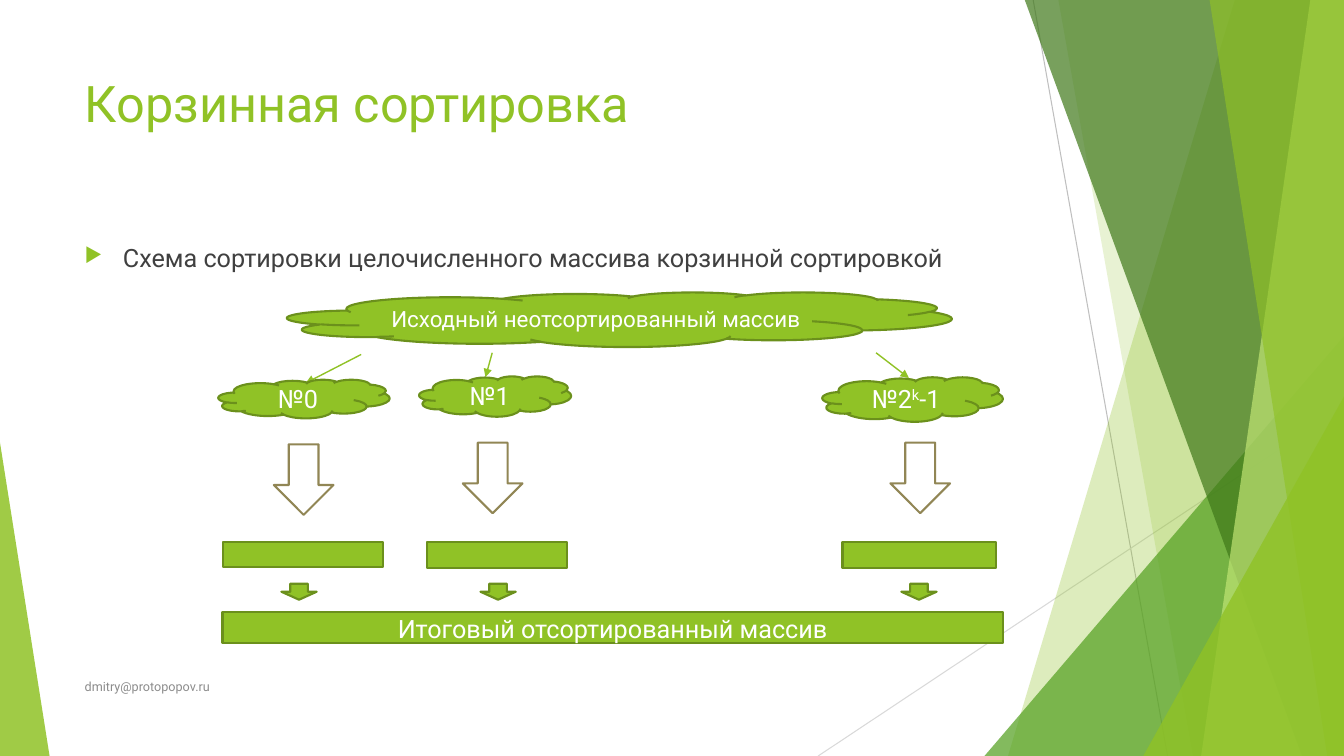
"""Build the bucket sort slide on a grid of 160 columns by 90 rows."""
from dataclasses import dataclass

from lxml import etree
from pptx import Presentation
from pptx.dml.color import RGBColor
from pptx.enum.shapes import MSO_CONNECTOR, MSO_SHAPE
from pptx.enum.text import MSO_ANCHOR, MSO_AUTO_SIZE, PP_ALIGN
from pptx.oxml.ns import qn
from pptx.util import Inches, Pt

STRAIGHT = MSO_CONNECTOR.STRAIGHT
CLOUD, ARROW = MSO_SHAPE.CLOUD, MSO_SHAPE.DOWN_ARROW
BAR, WEDGE = MSO_SHAPE.RECTANGLE, MSO_SHAPE.RIGHT_TRIANGLE
TRIANGLE = MSO_SHAPE.ISOSCELES_TRIANGLE
TOP, MIDDLE = MSO_ANCHOR.TOP, MSO_ANCHOR.MIDDLE
LEFT, CENTER = PP_ALIGN.LEFT, PP_ALIGN.CENTER
COLUMNS, ROWS = 160, 90


@dataclass(frozen=True)
class Theme:
    font: str = "Roboto"
    green: str = "90C226"
    outline: str = "6B901C"
    leaf: str = "54A021"
    forest: str = "3F7819"
    lime: str = "C0E474"
    white: str = "FFFFFF"
    olive: str = "918655"
    ink: str = "404040"
    muted: str = "8C8C8C"
    ray: str = "BFBFBF"
    pale_ray: str = "D9D9D9"
    title: int = 36
    text: int = 18
    source: int = 16
    footer: int = 9


theme = Theme()
deck = Presentation()
deck.slide_width, deck.slide_height = Inches(40 / 3), Inches(7.5)
cell = deck.slide_width / COLUMNS
page = deck.slides.add_slide(deck.slide_layouts[5])


def paint(shape, fill, line=None, opacity=100):
    """Give a shape a flat fill, an optional outline and no shadow."""
    shape.shadow.inherit = False
    shape.fill.solid()
    shape.fill.fore_color.rgb = RGBColor.from_string(fill)
    if opacity < 100:
        color = shape.fill._xPr.find(".//" + qn("a:srgbClr"))
        etree.SubElement(color, qn("a:alpha"), val=str(opacity * 1000))
    if line:
        shape.line.color.rgb = RGBColor.from_string(line)
        shape.line.width = Pt(1.5)
    else:
        shape.line.fill.background()


def write(box, words, size, color, align=LEFT, anchor=TOP):
    """Write one paragraph; words pairs each run with its superscript flag."""
    frame = box.text_frame
    frame.word_wrap = True
    frame.auto_size = MSO_AUTO_SIZE.NONE
    frame.vertical_anchor = anchor
    para = frame.paragraphs[0]
    para.alignment = align
    for text, raised in words:
        span = para.add_run()
        span.text = text
        span.font.name = theme.font
        span.font.size = Pt(size)
        span.font.color.rgb = RGBColor.from_string(color)
        if raised:
            span.font._element.set("baseline", "30000")
    return para


rays = [
    ((123, 0, 139, 90), theme.ray, 0.75, False),
    ((160, 48.4, 97.4, 90), theme.pale_ray, 0.75, False),
]
feeds = [
    ((43, 42.2, 36.4, 45.6), theme.green, 1, True),
    ((58.6, 42, 57.8, 44.9), theme.green, 1, True),
    ((104.3, 42, 108.2, 45), theme.green, 1, True),
]
facets = [
    ("band", 147.4, 120.5, theme.green, 30),
    ("band", 126, 142, theme.green, 20),
    ("corner", 117.2, 40, theme.leaf, 72),
    ("band", 122.5, 154.9, theme.forest, 70),
    ("band", 156.4, 143, theme.lime, 70),
    ("band", 143.5, 158.2, theme.green, 65),
    ("corner", 136.1, 47.2, theme.green, 80),
]
lanes = [
    ([("№0", False)], (26, 45.2, 20.4, 4.6), (32.6, 52.9), (26.5, 19.1, 3), 33.5),
    ([("№1", False)], (49.9, 44.8, 18.1, 4.8), (55.1, 52.7), (50.8, 16.7, 3.1), 57.2),
    ([("№2", False), ("k", True), ("-1", False)],
     (97.9, 44.9, 21.5, 5.3), (106, 52.7), (100.3, 18.3, 3.1), 107.3),
]

links = []
for ends, color, weight, pointed in rays + feeds:
    link = page.shapes.add_connector(STRAIGHT, *[round(end * cell) for end in ends])
    link.line.color.rgb = RGBColor.from_string(color)
    link.line.width = Pt(weight)
    if pointed:
        etree.SubElement(link.line._get_or_add_ln(), qn("a:tailEnd"), type="triangle")
    etree.SubElement(link._element.spPr, qn("a:effectLst"))

for kind, first, second, color, opacity in facets:
    if kind == "band":
        builder = page.shapes.build_freeform(first, 0, scale=cell)
        builder.add_line_segments([(COLUMNS, 0), (COLUMNS, ROWS), (second, ROWS)])
        facet = builder.convert_to_shape()
    else:
        area = (first, second, COLUMNS - first, ROWS - second)
        facet = page.shapes.add_shape(TRIANGLE, *[round(side * cell) for side in area])
        facet.adjustments[0] = 1
    paint(facet, color, opacity=opacity)

wedge = page.shapes.add_shape(WEDGE, *[round(side * cell) for side in (0, 52.7, 5.9, 37.3)])
paint(wedge, theme.green, opacity=85)

title = page.shapes.title
title.left, title.top, title.width, title.height = [
    round(side * cell) for side in (8.9, 8, 112.8, 17.3)]
write(title, [("Корзинная сортировка", False)], theme.title, theme.green)

body = page.shapes.add_textbox(*[round(side * cell) for side in (8.9, 28.3, 112.8, 50.9)])
caption = write(body, [("Схема сортировки целочисленного массива корзинной сортировкой", False)],
                theme.text, theme.ink)
caption.space_before = Pt(10)
properties = caption._p.get_or_add_pPr()
properties.set("marL", str(Inches(0.38)))
properties.set("indent", str(-Inches(0.38)))
bullet_color = etree.SubElement(properties, qn("a:buClr"))
etree.SubElement(bullet_color, qn("a:srgbClr"), val=theme.green)
etree.SubElement(properties, qn("a:buSzPct"), val="80000")
etree.SubElement(properties, qn("a:buChar"), char="▶")

blocks = [
    (CLOUD, (34.2, 34.8, 79.1, 6.5), [("Исходный неотсортированный массив", False)], theme.source),
    (BAR, (26.5, 72.9, 92.9, 3.7), [("Итоговый отсортированный массив", False)], theme.text),
]
arrows = []
for label, bucket, (arrow_left, arrow_top), (bin_left, bin_width, bin_height), drop_left in lanes:
    blocks += [
        (CLOUD, bucket, label, theme.text),
        (BAR, (bin_left, 64.5, bin_width, bin_height), [], theme.text),
        (ARROW, (drop_left, 69.5, 4.2, 1.9), [], theme.text),
    ]
    arrows.append((arrow_left, arrow_top, 7.1, 8.4))

for preset, area, label, size in blocks:
    block = page.shapes.add_shape(preset, *[round(side * cell) for side in area])
    paint(block, theme.green, theme.outline)
    write(block, label, size, theme.white, CENTER, MIDDLE)

for area in arrows:
    arrow = page.shapes.add_shape(ARROW, *[round(side * cell) for side in area])
    paint(arrow, theme.white, theme.olive)

footer = page.shapes.add_textbox(*[round(side * cell) for side in (8.9, 79.3, 82.7, 4.8)])
write(footer, [("dmitry@protopopov.ru", False)], theme.footer, theme.muted, anchor=MIDDLE)

deck.save("out.pptx")
